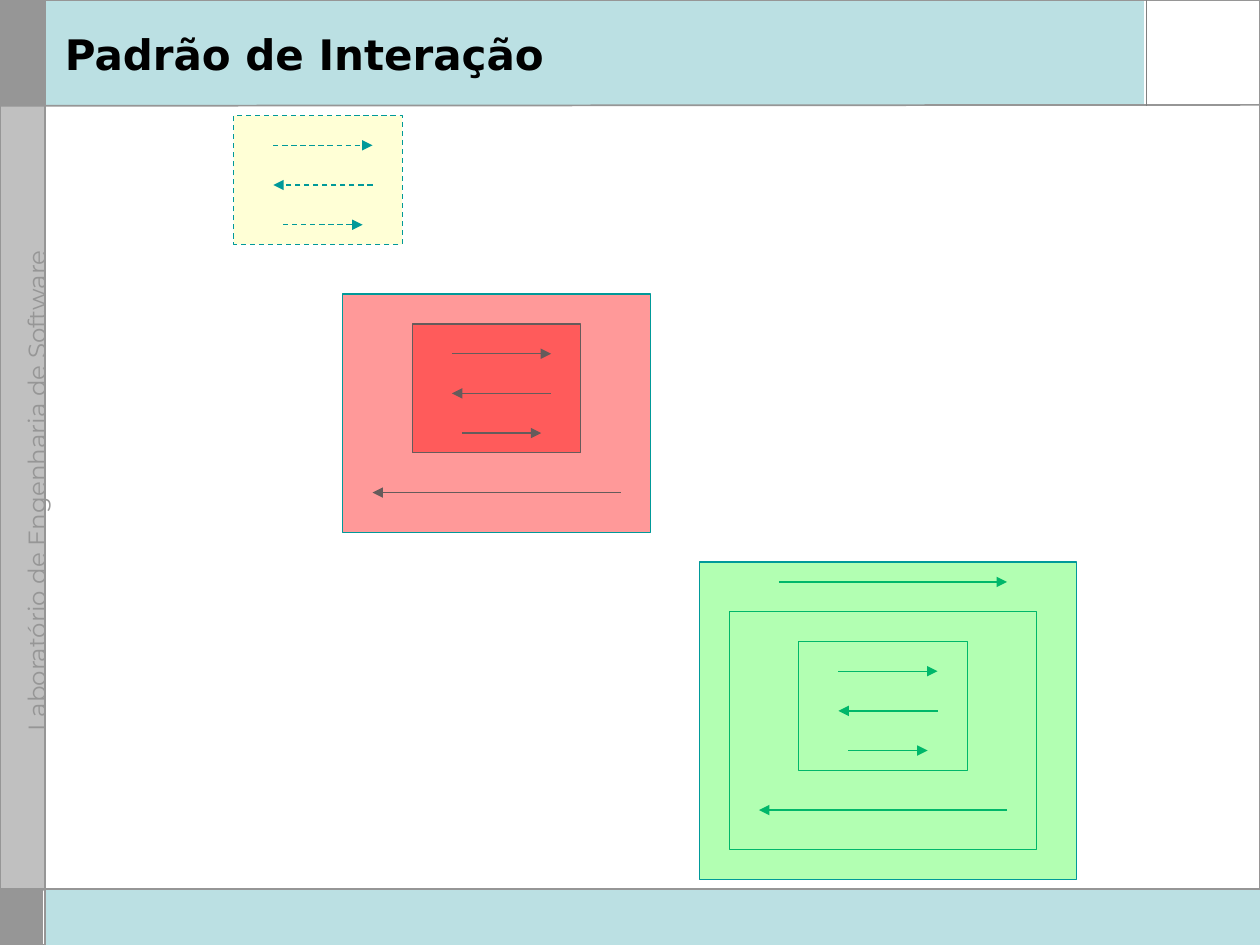
from lxml.etree import SubElement as Sub
from pptx import Presentation
from pptx.dml.color import RGBColor as RGB
from pptx.enum.dml import MSO_LINE as Dash
from pptx.enum.shapes import MSO_CONNECTOR as Link, MSO_SHAPE as Form
from pptx.enum.text import MSO_ANCHOR as Anchor, PP_ALIGN as Align
from pptx.oxml.ns import qn
from pptx.util import Inches, Pt

WIDTH, HEIGHT = Inches(10), Inches(7.5)
COLS = 127
UNIT = WIDTH / COLS
GREY = RGB(0x96, 0x96, 0x96)
DARK = RGB(0x80, 0x80, 0x80)
PALE = RGB(0xC0, 0xC0, 0xC0)
AQUA = RGB(0xBB, 0xE0, 0xE3)
TEAL = RGB(0x00, 0x99, 0x99)
CREAM = RGB(0xFF, 0xFF, 0x99)
RED = RGB(0xFF, 0x00, 0x00)
GREEN = RGB(0x00, 0xFF, 0x00)
WHITE = RGB(0xFF, 0xFF, 0xFF)
BLACK = RGB(0x00, 0x00, 0x00)


def share(box, x, y, w, h):
    """Return the part of a box given by percentages of its size."""
    left, top, wide, high = box
    return (int(left + x * wide / 100), int(top + y * high / 100),
            int(w * wide / 100), int(h * high / 100))


def cells(box, col, row, wide, high):
    """Return an area counted in grid units from the corner of a box."""
    return (int(box[0] + col * UNIT), int(box[1] + row * UNIT),
            int(wide * UNIT), int(high * UNIT))


def rect(shapes, box, fill=None, line=None, width=0.75, dash=None, alpha=None):
    """Add a rectangle with an optional fill, outline and opacity."""
    shape = shapes.add_shape(Form.RECTANGLE, *box)
    shape.shadow.inherit = False
    if fill is None:
        shape.fill.background()
    else:
        shape.fill.solid()
        shape.fill.fore_color.rgb = fill
    if alpha:
        tint = shape.fill._xPr.find(".//" + qn("a:srgbClr"))
        Sub(tint, qn("a:alpha"), val=str(alpha * 1000))
    if line is None:
        shape.line.fill.background()
    else:
        stroke(shape.line, line, width, dash)


def stroke(line, color, width, dash=None):
    """Set the colour, width and dash of a line."""
    line.color.rgb = color
    line.width = Pt(width)
    if dash:
        line.dash_style = dash


def rule(shapes, box, color=GREY, width=1, dash=None, head=False):
    """Add a line across a box, with an arrowhead on request."""
    x, y, w, h = box
    link = shapes.add_connector(Link.STRAIGHT, x, y, x + w, y + h)
    stroke(link.line, color, width, dash)
    if head:
        Sub(link.line._get_or_add_ln(), qn("a:tailEnd"), type="triangle")
    Sub(link._element.spPr, qn("a:effectLst"))


def write(shape, text, font, size, color, bold=False, wrap=True,
          anchor=Anchor.TOP, align=Align.LEFT):
    """Put formatted text in a shape."""
    frame = shape.text_frame
    frame.word_wrap = wrap
    frame.vertical_anchor = anchor
    part = frame.paragraphs[0]
    part.alignment = align
    run = part.add_run()
    run.text = text
    run.font.name, run.font.size, run.font.bold = font, Pt(size), bold
    run.font.color.rgb = color


def frame(shapes, box):
    """Draw the bands, side bar and rules around the slide."""
    rect(shapes, share(box, 0.1, 0, 3.5, 20.7), GREY, GREY)
    rect(shapes, share(box, 3.5, 0, 96.5, 11.1), AQUA)
    rect(shapes, share(box, 0.1, 11.2, 3.5, 83), PALE, PALE)
    rect(shapes, share(box, 90.8, 0, 9.2, 11.1), WHITE)
    label = shapes.add_textbox(*share(box, -23.3, 50.9, 50.6, 2.1))
    label.rotation = 270
    write(label, "Laboratório de Engenharia de Software", "Montserrat", 14, GREY,
          wrap=False, align=Align.CENTER)
    rect(shapes, share(box, 0.1, 94.1, 3.3, 5.8), GREY, GREY)
    rect(shapes, box, line=GREY, width=1)
    rect(shapes, share(box, 3.5, 94.1, 96.5, 5.9), AQUA)
    rule(shapes, share(box, 0, 11.2, 100, -0.1))
    rule(shapes, share(box, 0, 94.1, 100, 0))
    rule(shapes, share(box, 91, 0, 0, 11.2), DARK, 0.75)
    rule(shapes, share(box, 3.55, 0, 0, 100))


def head(title, box):
    """Place and fill the title."""
    title.left, title.top, title.width, title.height = share(box, 4.15, 1.5, 85.8, 8.3)
    write(title, "Padrão de Interação", "DejaVu Sans", 24, BLACK, bold=True, anchor=Anchor.MIDDLE)


def arrow(shapes, box, col, row, span, dash=None):
    """Draw a level arrow, pointing left when the span is negative."""
    rule(shapes, cells(box, col, row, span, 0), TEAL, 0.75, dash, head=True)


def core(shapes, box, fill=None, dash=None):
    """Draw the inner box with its three messages."""
    rect(shapes, cells(box, 0, 0, 17, 13), fill, TEAL, dash=dash, alpha=fill and 40)
    for col, row, span in ((4, 3, 10), (14, 7, -10), (5, 11, 8)):
        arrow(shapes, box, col, row, span, dash)


def reply(shapes, box, fill=None):
    """Draw the core and its reply inside a wider box."""
    core(shapes, cells(box, 7, 3, 17, 13), fill)
    arrow(shapes, box, 28, 20, -25)
    rect(shapes, cells(box, 0, 0, 31, 24), fill, TEAL, alpha=fill and 40)


def whole(shapes, box):
    """Draw the request and the reply inside the widest box."""
    arrow(shapes, box, 8, 2, 23)
    reply(shapes, cells(box, 3, 5, 31, 24))
    rect(shapes, cells(box, 0, 0, 38, 32), GREEN, TEAL, alpha=30)


def main():
    """Build and save the slide."""
    deck = Presentation()
    deck.slide_width, deck.slide_height = WIDTH, HEIGHT
    slide = deck.slides.add_slide(deck.slide_layouts[5])
    shapes, page = slide.shapes, (0, 0, WIDTH, HEIGHT)
    title = shapes.title
    frame(shapes, page)
    head(title, page)
    shapes._spTree.append(title._element)
    core(shapes.add_group_shape().shapes, cells(page, 23.55, 11.65, 17, 13), CREAM, Dash.DASH)
    reply(shapes.add_group_shape().shapes, cells(page, 34.55, 29.65, 31, 24), RED)
    whole(shapes.add_group_shape().shapes, cells(page, 70.5, 56.65, 38, 32))
    deck.save("out.pptx")


if __name__ == "__main__":
    main()
